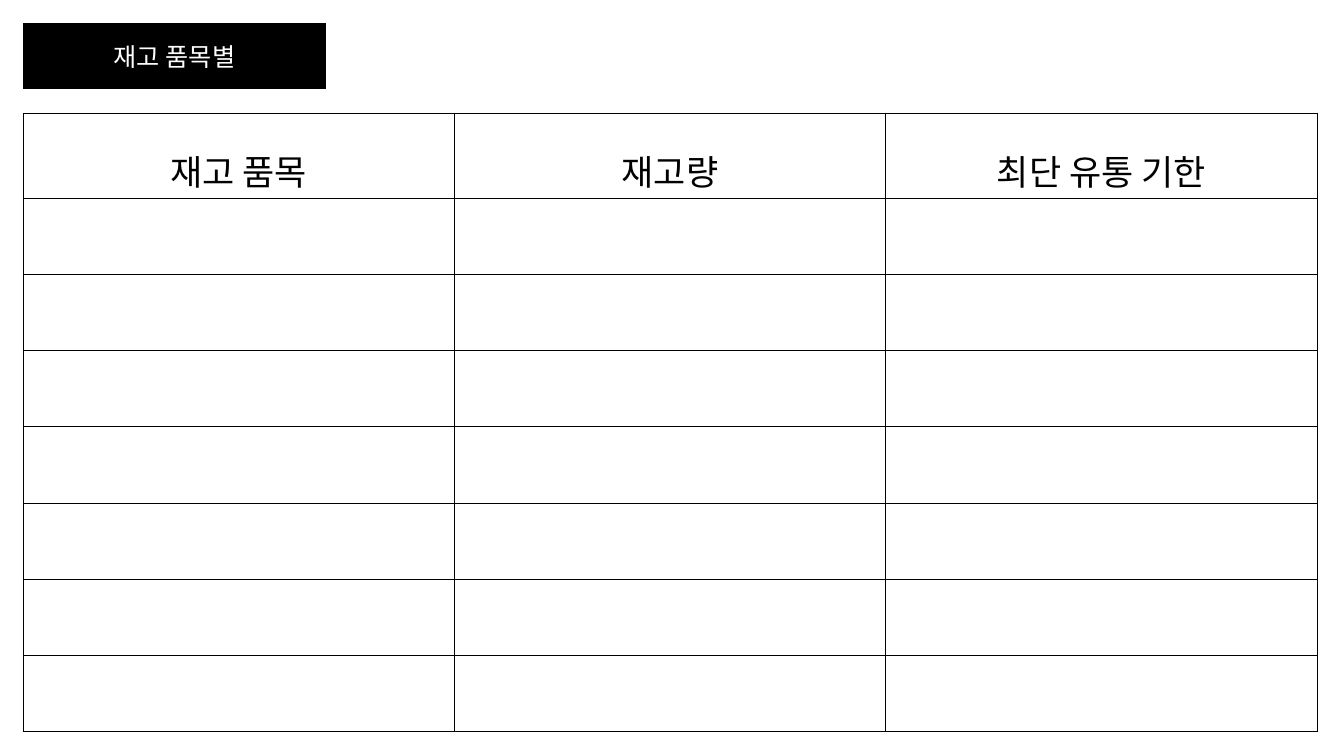
"""Build a blank stock sheet: a title label above a three-column table."""
from lxml import etree
from pptx import Presentation
from pptx.dml.color import RGBColor
from pptx.enum.text import MSO_ANCHOR, MSO_AUTO_SIZE, PP_ALIGN
from pptx.oxml import parse_xml
from pptx.oxml.ns import nsdecls, qn
from pptx.util import Emu, Pt

PX = 914400 / 100.8
CENTER = PP_ALIGN.CENTER
MIDDLE = MSO_ANCHOR.MIDDLE
NO_AUTOFIT = MSO_AUTO_SIZE.NONE
BLACK = RGBColor(0x00, 0x00, 0x00)
WHITE = RGBColor(0xFF, 0xFF, 0xFF)
FONT = "Noto Sans CJK KR"
HEADERS = ["재고 품목", "재고량", "최단 유통 기한"]
ROW_COUNT = 8
TABLE_WIDTH, TABLE_HEIGHT = 1294, 610
BORDER_WIDTH = Pt(0.28)


def px(length):
    return Emu(round(length * PX))


def style_paragraph(para, size, color):
    para.alignment = CENTER
    para.font.name = FONT
    para.font.size = Pt(size)
    para.font.color.rgb = color
    properties = para.font.fill._xPr
    etree.SubElement(properties, qn("a:ea"), typeface=FONT)


deck = Presentation()
deck.slide_width, deck.slide_height = px(1344), px(756)
page = deck.slides.add_slide(deck.slide_layouts[5])

title = page.shapes.title
title.left, title.top, title.width, title.height = px(23), px(23), px(303), px(66)
title.fill.solid()
title.fill.fore_color.rgb = BLACK
title.text_frame.text = "재고 품목별"
title.text_frame.auto_size = NO_AUTOFIT
title.text_frame.vertical_anchor = MIDDLE
style_paragraph(title.text_frame.paragraphs[0], 18, WHITE)

table = page.shapes.add_table(
    ROW_COUNT, len(HEADERS), px(23), px(113), px(TABLE_WIDTH), px(TABLE_HEIGHT)
).table
table.first_row = False
table.horz_banding = False
for column in table.columns:
    column.width = px(TABLE_WIDTH / len(HEADERS))
for row in table.rows:
    row.height = px(TABLE_HEIGHT / ROW_COUNT)

for cell in table.iter_cells():
    properties = cell._tc.get_or_add_tcPr()
    for side in ("lnL", "lnR", "lnT", "lnB"):
        properties.append(parse_xml(
            f'<a:{side} {nsdecls("a")} w="{BORDER_WIDTH}"><a:solidFill>'
            f'<a:srgbClr val="{BLACK}"/></a:solidFill></a:{side}>'
        ))
    cell.fill.background()

for index, header in enumerate(HEADERS):
    cell = table.cell(0, index)
    cell.text = header
    cell.margin_left = cell.margin_right = px(7)
    cell.margin_top = cell.margin_bottom = px(2)
    para = cell.text_frame.paragraphs[0]
    para.line_spacing = 1.6
    style_paragraph(para, 25, BLACK)

deck.save("out.pptx")
